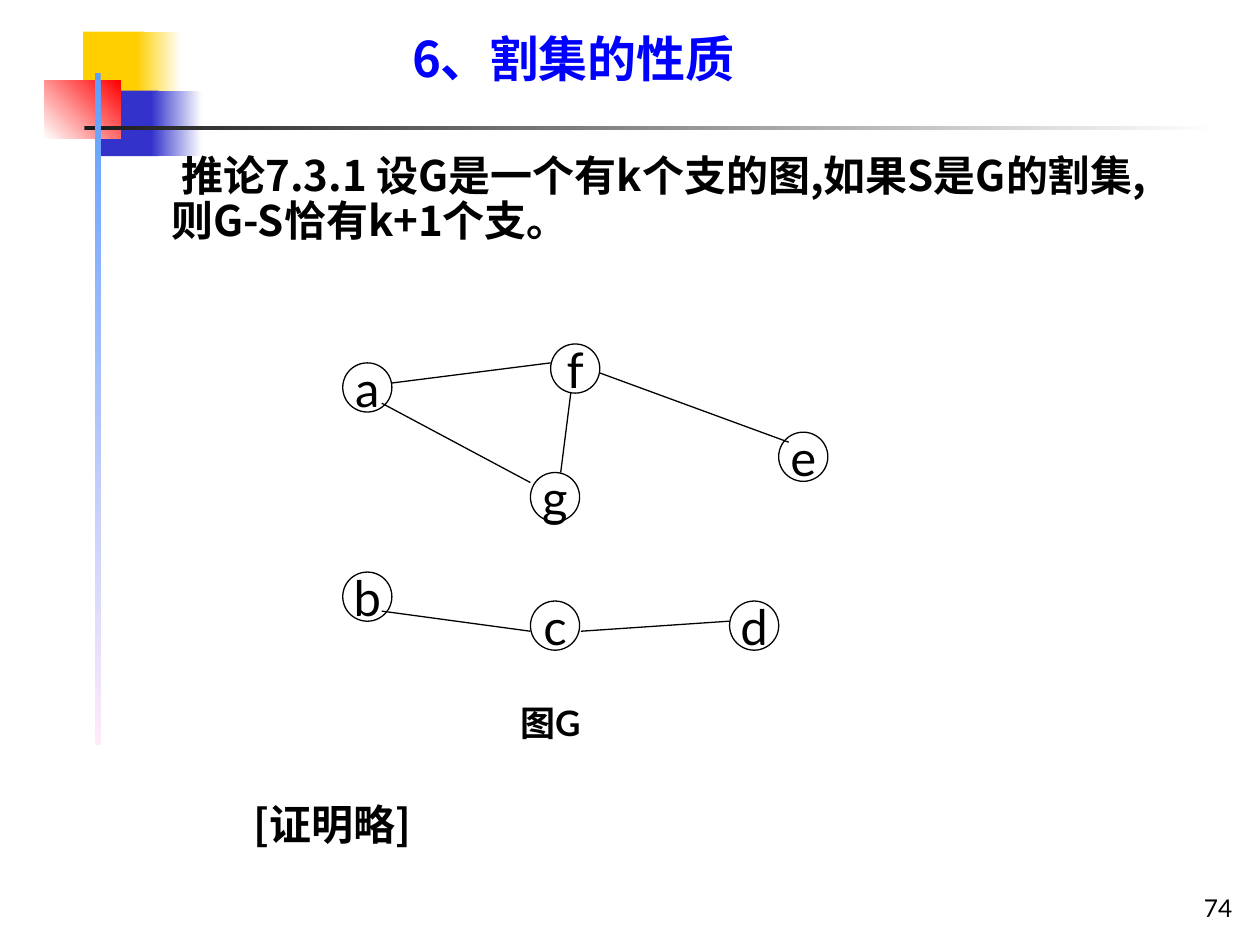
from pptx import Presentation
from pptx import util as u
from pptx.dml.color import RGBColor
from pptx.enum import shapes, text
from pptx.oxml import ns, xmlchemy

LATIN, CJK = "Lato", "Noto Sans CJK SC"
BLACK, WHITE, BLUE = "000000", "FFFFFF", "0000FF"
GOLD, INDIGO = "FFCF01", "3333CC"


def color(value):
    return RGBColor.from_string(value)


class Deck:
    """Holds the slide and the shared style."""
    line_width = u.Pt(0.75)
    node_size = 0.39

    def __init__(self, prs):
        self.s = prs.slides.add_slide(prs.slide_layouts[1])

    def place(self, sp, *box):
        sp.left, sp.top, sp.width, sp.height = map(u.Inches, box)

    def set_text(self, sp, content, size, font=LATIN, ink=BLACK, bold=False,
                 align=text.PP_ALIGN.LEFT, anchor=text.MSO_ANCHOR.TOP,
                 wrap=False, spacing=1.0, inset=None, first=0, left=0):
        tf = sp.text_frame
        tf.auto_size = text.MSO_AUTO_SIZE.NONE
        tf.word_wrap, tf.vertical_anchor = wrap, anchor
        if inset is not None:
            tf.margin_left = tf.margin_right = u.Inches(inset)
            tf.margin_top = tf.margin_bottom = u.Inches(inset)
        p = tf.paragraphs[0]
        p.alignment, p.line_spacing, p.space_before = align, spacing, u.Pt(0)
        pPr = p._p.get_or_add_pPr()
        pPr.set("marL", str(u.Inches(left)))
        pPr.set("indent", str(u.Inches(first)))
        pPr.append(xmlchemy.OxmlElement("a:buNone"))
        r = p.add_run()
        r.text = content
        r.font.size, r.font.bold, r.font.name = u.Pt(size), bold, font
        r.font.color.rgb = color(ink)
        ea = xmlchemy.OxmlElement("a:ea")
        ea.set("typeface", CJK)
        r._r.get_or_add_rPr().find(ns.qn("a:latin")).addnext(ea)

    def textbox(self, box, content, size, **style):
        sp = self.s.shapes.add_textbox(*map(u.Inches, box))
        self.set_text(sp, content, size, **style)

    def block(self, box, start, end=None, angle=0):
        """A borderless rectangle, plain or with a two-colour gradient."""
        sp = self.s.shapes.add_shape(shapes.MSO_SHAPE.RECTANGLE, *map(u.Inches, box))
        sp.shadow.inherit = False
        sp.line.fill.background()
        if end is None:
            sp.fill.solid()
            sp.fill.fore_color.rgb = color(start)
            return
        sp.fill.gradient()
        sp.fill.gradient_angle = angle
        for stop, value, pos in zip(sp.fill.gradient_stops, (start, end), (0, 1)):
            stop.color.rgb, stop.position = color(value), pos

    def node(self, label, x, y):
        sp = self.s.shapes.add_shape(
            shapes.MSO_SHAPE.OVAL,
            *map(u.Inches, (x, y, self.node_size, self.node_size)))
        sp.shadow.inherit = False
        sp.fill.background()
        sp.line.color.rgb, sp.line.width = color(BLACK), self.line_width
        self.set_text(sp, label, 28, align=text.PP_ALIGN.CENTER,
                      anchor=text.MSO_ANCHOR.MIDDLE)

    def edge(self, *ends):
        c = self.s.shapes.add_connector(shapes.MSO_CONNECTOR.STRAIGHT,
                                        *map(u.Inches, ends))
        c.line.color.rgb, c.line.width = color(BLACK), self.line_width
        c._element.spPr.append(xmlchemy.OxmlElement("a:effectLst"))


def main():
    prs = Presentation()
    prs.slide_width, prs.slide_height = u.Inches(10), u.Inches(7.5)
    deck = Deck(prs)

    # Corner blocks and rules
    deck.block((0.66, 0.25, 0.48, 0.52), GOLD)
    deck.block((1.08, 0.25, 0.36, 0.52), GOLD, WHITE)
    deck.block((0.8, 0.72, 0.46, 0.52), INDIGO)
    deck.block((1.2, 0.72, 0.4, 0.52), INDIGO, WHITE)
    deck.block((0.35, 0.64, 0.61, 0.46), WHITE, "FF0000", angle=45)
    deck.block((0.67, 1, 9, 0.03), "1C1C1C", WHITE)
    deck.block((0.75, 0.58, 0.05, 5.33), "5E9EFF", "FFEBFA", angle=270)

    # Title, corollary and proof note
    heading = dict(font=CJK, bold=True, spacing=0.9, inset=0)
    title, body = deck.s.placeholders
    deck.place(title, 3.27, 0.28, 3.41, 0.42)
    deck.set_text(title, "6、割集的性质", 28, ink=BLUE, **heading)
    deck.place(body, 0.98, 1.23, 8.19, 0.72)
    deck.set_text(body, "推论7.3.1 设G是一个有k个支的图,如果S是G的割集,则G-S恰有k+1个支。",
                  24, wrap=True, left=0.38, first=0.08, **heading)
    deck.textbox((2.01, 6.38, 2.05, 0.36), "[证明略]", 24, wrap=True, **heading)

    # Graph G
    nodes = {"a": (2.72, 2.88), "b": (2.72, 4.54), "c": (4.21, 4.77),
             "d": (5.79, 4.77), "e": (6.18, 3.43), "f": (4.37, 2.73),
             "g": (4.21, 3.75)}
    for label, (x, y) in nodes.items():
        deck.node(label, x, y)
    edges = [
        (3.03, 3.2, 4.21, 3.83),   # a-g
        (3.11, 3.04, 4.37, 2.88),  # a-f
        (3.03, 4.85, 4.21, 5.01),  # b-c
        (4.61, 5.01, 5.79, 4.93),  # c-d
        (6.26, 3.51, 4.76, 2.96),  # e-f
        (4.53, 3.12, 4.45, 3.75),  # f-g
    ]
    for ends in edges:
        deck.edge(*ends)
    deck.textbox((4.03, 5.52, 0.74, 0.44), "图G", 20, bold=True)

    # Page number
    deck.textbox((7.8, 6.87, 2.08, 0.5), "74", 14, wrap=True,
                 align=text.PP_ALIGN.RIGHT, anchor=text.MSO_ANCHOR.BOTTOM)

    prs.save("out.pptx")


if __name__ == "__main__":
    main()
